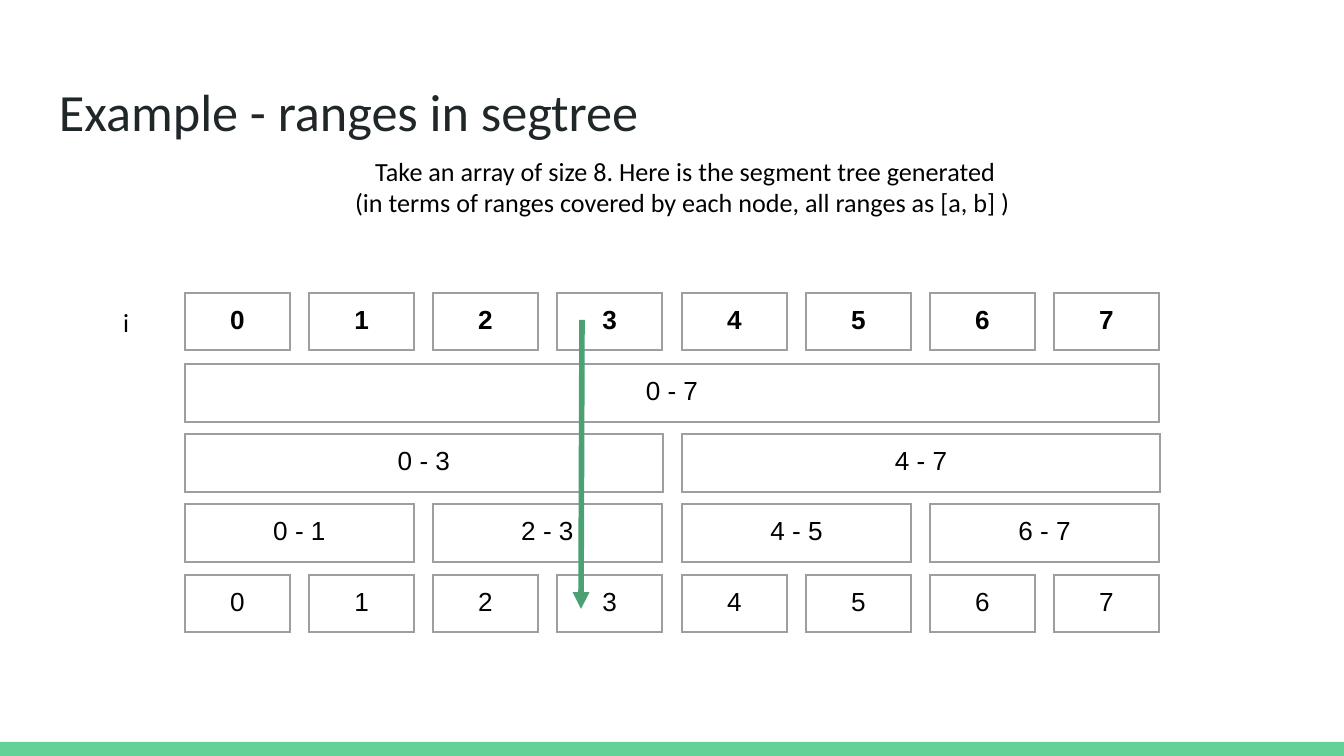
from dataclasses import dataclass

from lxml.etree import SubElement
from pptx import Presentation
from pptx.dml.color import RGBColor
from pptx.enum.shapes import MSO_CONNECTOR, MSO_SHAPE
from pptx.enum.text import MSO_ANCHOR, MSO_AUTO_SIZE, PP_ALIGN
from pptx.oxml import parse_xml
from pptx.oxml.ns import nsdecls, qn
from pptx.util import Emu, Pt

# 134.4 px to the inch
EMU_PER_PX = 914400 / 134.4
SLIDE_WIDTH, SLIDE_HEIGHT = 1344, 756


def px(length):
    return Emu(round(length * EMU_PER_PX))


@dataclass(frozen=True)
class Theme:
    title_color: str = "202729"
    text_color: str = "000000"
    border_color: str = "9E9E9E"
    arrow_color: str = "4BA173"
    footer_color: str = "63D297"
    title_size: float = 28
    text_size: float = 14
    border_width: float = 0.75
    arrow_width: float = 3
    text_font: str = "Calibri"
    cell_font: str = "Arial"
    inset: int = 13


class SlideBuilder:
    def __init__(self, presentation, theme):
        self.theme = theme
        self.slide = presentation.slides.add_slide(presentation.slide_layouts[5])

    def format_text(self, text_frame, size, font, color, align, bold=False):
        for paragraph in text_frame.paragraphs:
            paragraph.alignment = align
            for run in paragraph.runs:
                run.font.size = Pt(size)
                run.font.name = font
                run.font.bold = bold
                run.font.color.rgb = RGBColor.from_string(color)

    def prepare_frame(self, text_frame, text):
        text_frame.text = text
        text_frame.word_wrap = True
        text_frame.auto_size = MSO_AUTO_SIZE.NONE
        text_frame.vertical_anchor = MSO_ANCHOR.TOP
        inset = px(self.theme.inset)
        text_frame.margin_left = text_frame.margin_right = inset
        text_frame.margin_top = text_frame.margin_bottom = inset

    def title(self, left, top, width, height, text):
        shape = self.slide.shapes.title
        shape.left, shape.top = px(left), px(top)
        shape.width, shape.height = px(width), px(height)
        self.prepare_frame(shape.text_frame, text)
        self.format_text(shape.text_frame, self.theme.title_size, self.theme.text_font,
                         self.theme.title_color, PP_ALIGN.LEFT)

    def text(self, left, top, width, height, text, align=PP_ALIGN.LEFT):
        shape = self.slide.shapes.add_textbox(px(left), px(top), px(width), px(height))
        self.prepare_frame(shape.text_frame, text)
        self.format_text(shape.text_frame, self.theme.text_size, self.theme.text_font,
                         self.theme.text_color, align)

    def bar(self, left, top, width, height, color):
        shape = self.slide.shapes.add_shape(
            MSO_SHAPE.RECTANGLE, px(left), px(top), px(width), px(height))
        shape.shadow.inherit = False
        shape.fill.solid()
        shape.fill.fore_color.rgb = RGBColor.from_string(color)
        shape.line.fill.background()

    def node(self, left, top, width, height, text, bold=False):
        """Add a one-cell table that stands for one tree node."""
        table = self.slide.shapes.add_table(
            1, 1, px(left), px(top), px(width), px(height)).table
        table.first_row = table.horz_banding = False
        cell = table.cell(0, 0)
        cell.text_frame.text = text
        inset = px(self.theme.inset)
        cell.margin_left = cell.margin_right = inset
        cell.margin_top = cell.margin_bottom = inset
        cell.fill.background()
        self.format_text(cell.text_frame, self.theme.text_size, self.theme.cell_font,
                         self.theme.text_color, PP_ALIGN.CENTER, bold)
        self.cell_borders(cell)

    def cell_borders(self, cell):
        properties = cell._tc.get_or_add_tcPr()
        for index, side in enumerate(("lnL", "lnR", "lnT", "lnB")):
            border = parse_xml(
                f'<a:{side} {nsdecls("a")} w="{Pt(self.theme.border_width)}">'
                f'<a:solidFill><a:srgbClr val="{self.theme.border_color}"/></a:solidFill>'
                f'</a:{side}>')
            properties.insert(index, border)

    def arrow(self, start, end):
        connector = self.slide.shapes.add_connector(
            MSO_CONNECTOR.STRAIGHT, *map(px, start + end))
        connector.line.width = Pt(self.theme.arrow_width)
        connector.line.color.rgb = RGBColor.from_string(self.theme.arrow_color)
        SubElement(connector.line._get_or_add_ln(), qn("a:tailEnd"), type="triangle")
        SubElement(connector._element.spPr, qn("a:effectLst"))


def main():
    presentation = Presentation()
    presentation.slide_width = px(SLIDE_WIDTH)
    presentation.slide_height = px(SLIDE_HEIGHT)
    theme = Theme()
    builder = SlideBuilder(presentation, theme)

    # Footer bar, title and introduction
    builder.bar(0, 742, SLIDE_WIDTH, 14, theme.footer_color)
    builder.title(46, 66, 1252, 85, "Example - ranges in segtree")
    builder.text(309, 142, 753, 87,
                 "Take an array of size 8. Here is the segment tree generated\n"
                 "(in terms of ranges covered by each node, all ranges as [a, b] ) ",
                 PP_ALIGN.CENTER)

    # Index row, then the tree levels from the root to the leaves
    array_size = 8
    tree_left, tree_width, gap = 185, 974, 19
    first_top, last_top = 293, 575
    nodes_per_row = (8, 1, 2, 4, 8)
    row_step = (last_top - first_top) / (len(nodes_per_row) - 1)
    for row, node_count in enumerate(nodes_per_row):
        top = round(first_top + row * row_step)
        width = (tree_width - (node_count - 1) * gap) / node_count
        span = array_size // node_count
        height = 57 if span == 1 else 58
        for column in range(node_count):
            first = column * span
            label = str(first) if span == 1 else f"{first} - {first + span - 1}"
            left = round(tree_left + column * (width + gap))
            builder.node(left, top, round(width), height, label, bold=row == 0)

    # Index label and the path down to leaf 3
    builder.text(110, 293, 39, 58, "i")
    builder.arrow((582, 320), (581, 609))

    presentation.save("out.pptx")


if __name__ == "__main__":
    main()
